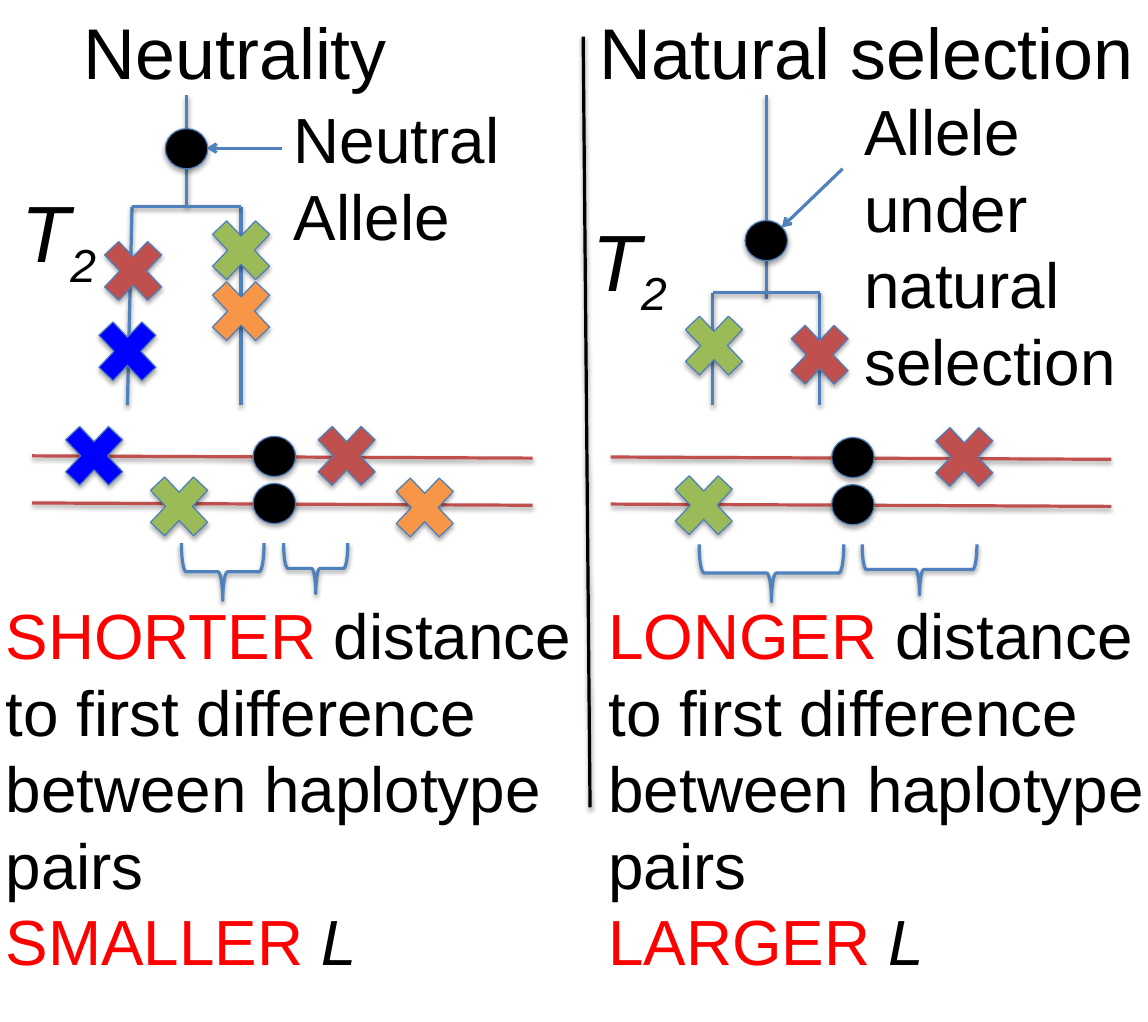
import dataclasses

import lxml.etree
import pptx
import pptx.dml.color
import pptx.enum.shapes
import pptx.enum.text
import pptx.oxml.ns
import pptx.util

qn = pptx.oxml.ns.qn
SHAPES = pptx.enum.shapes.MSO_SHAPE
COLUMNS, ROWS = 100, 89


@dataclasses.dataclass(frozen=True)
class Theme:
    font: str = "Arial"
    heading: int = 45
    symbol: int = 50
    body: int = 40
    text: str = "000000"
    accent: str = "FF0000"
    branch: str = "4F81BD"
    outline: str = "4B7EBC"
    red: str = "C0504D"
    green: str = "9BBB59"
    orange: str = "F79646"
    blue: str = "0000FF"
    stroke: float = 2
    thin: float = 0.75


THEME = Theme()
deck = pptx.Presentation()
deck.slide_width = pptx.util.Inches(10)
deck.slide_height = pptx.util.Inches(8.9)
slide = deck.slides.add_slide(deck.slide_layouts.get_by_name("Comparison"))


# Grid and formatting helpers
def col(count):
    return round(deck.slide_width * count / COLUMNS)


def row(count):
    return round(deck.slide_height * count / ROWS)


def rgb(value):
    return pptx.dml.color.RGBColor.from_string(value)


def apply(target, formats):
    for name, value in formats.items():
        setattr(target, name, value)


def set_shadow(part, opacity=0, distance=0):
    properties = part._element.spPr
    effects = properties.find(qn("a:effectLst"))
    if effects is None:
        effects = lxml.etree.SubElement(properties, qn("a:effectLst"))
    if opacity:
        shadow = lxml.etree.SubElement(
            effects, qn("a:outerShdw"), blurRad=str(pptx.util.Pt(3.1)),
            dist=str(pptx.util.Pt(distance)), dir="5400000", rotWithShape="0")
        black = lxml.etree.SubElement(shadow, qn("a:srgbClr"), val="000000")
        lxml.etree.SubElement(black, qn("a:alpha"), val=str(opacity * 1000))


def add_line(x1, y1, x2, y2, color=THEME.branch, arrow=False):
    line = slide.shapes.add_connector(
        pptx.enum.shapes.MSO_CONNECTOR.STRAIGHT, col(x1), row(y1), col(x2), row(y2))
    line.line.color.rgb = rgb(color)
    line.line.width = pptx.util.Pt(THEME.stroke)
    if arrow:
        lxml.etree.SubElement(line.line._get_or_add_ln(), qn("a:tailEnd"), type="arrow")
        set_shadow(line)
    else:
        set_shadow(line, 38, 1.6)


def add_mark(kind, x, y, width, height, color):
    """Place a filled mark around its centre."""
    mark = slide.shapes.add_shape(
        kind, col(x - width / 2), row(y - height / 2), col(width), row(height))
    mark.fill.solid()
    mark.fill.fore_color.rgb = rgb(color)
    mark.line.color.rgb = rgb(THEME.outline)
    mark.line.width = pptx.util.Pt(THEME.thin)
    mark.shadow.inherit = False
    set_shadow(mark, 35, 1.8)


def add_allele(x, y):
    add_mark(SHAPES.OVAL, x, y, 3.7, 3.5, THEME.text)


def add_mutation(x, y, color):
    add_mark(SHAPES.MATH_MULTIPLY, x, y, 7.2, 7.6, color)


def add_brace(start, end, top, depth):
    span = end - start
    brace = slide.shapes.add_shape(
        SHAPES.RIGHT_BRACE, col((start + end - depth) / 2),
        row(top + (depth - span) / 2), col(depth), row(span))
    brace.rotation = 90
    brace.fill.background()
    brace.line.color.rgb = rgb(THEME.branch)
    brace.line.width = pptx.util.Pt(THEME.stroke)
    brace.shadow.inherit = False
    set_shadow(brace, 38, 1.6)


def write(box, paragraphs, size, holder=None):
    """Write paragraphs of (text, color, italic, baseline) runs."""
    left, top, width, height = box
    area = dict(left=col(left), top=row(top), width=col(width), height=row(height))
    holder = holder or slide.shapes.add_textbox(**area)
    apply(holder, area)
    frame = holder.text_frame
    side, edge = pptx.util.Inches(0.08), pptx.util.Inches(0.04)
    apply(frame, dict(
        word_wrap=True, auto_size=pptx.enum.text.MSO_AUTO_SIZE.NONE,
        vertical_anchor=pptx.enum.text.MSO_ANCHOR.TOP,
        margin_left=side, margin_right=side, margin_top=edge, margin_bottom=edge))
    for number, runs in enumerate(paragraphs):
        paragraph = frame.add_paragraph() if number else frame.paragraphs[0]
        paragraph.space_before = pptx.util.Pt(0)
        indents = paragraph._p.get_or_add_pPr()
        indents.set("marL", "0")
        indents.set("indent", "0")
        lxml.etree.SubElement(indents, qn("a:buNone"))
        for text, color, italic, baseline in runs:
            run = paragraph.add_run()
            run.text = text
            apply(run.font, dict(name=THEME.font, size=pptx.util.Pt(size),
                                 bold=False, italic=italic))
            run.font.color.rgb = rgb(color)
            if baseline:
                run._r.get_or_add_rPr().set("baseline", str(baseline * 1000))


def plain(text, color=THEME.text, italic=False, baseline=0):
    return text, color, italic, baseline


# Regions of a panel
def genealogy(box, split, allele, overhang, lean, mutations):
    left, top, width, height = box
    right, bottom, trunk = left + width, top + height, left + width / 2
    add_line(trunk, top, trunk, top + split + overhang)
    add_line(left, top + split, left - lean, bottom)
    add_line(right, top + split, right, bottom)
    add_line(right, top + split, left, top + split)
    add_allele(trunk, top + allele)
    for x, y, color in mutations:
        add_mutation(left + x, top + y, color)


def haplotypes(box, mutations, brace_starts, brace_ends):
    left, top, width, gap = box
    for y in (top, top + gap):
        add_line(left, y, left + width, y + 0.2, THEME.red)
        add_allele(left + 21.1, y + 0.05)
    for x, y, color in mutations:
        add_mutation(left + x, top + y, color)
    for start, end, depth in zip(brace_starts, brace_ends, (5, 4.4)):
        add_brace(left + start, left + end, top + 7.6, depth)


def caption(box, holder, distance, size):
    write(box, [
        [plain(distance, THEME.accent),
         plain(" distance to first difference between haplotype pairs")],
        [plain(size + " ", THEME.accent), plain("L", italic=True)],
    ], THEME.body, holder)


def panel(content, heading_holder, caption_holder):
    write(content["heading_box"], [[plain(content["heading"])]],
          THEME.heading, heading_holder)
    genealogy(**content["genealogy"])
    write(content["time_box"],
          [[plain("T", italic=True), plain("2", italic=True, baseline=-25)]],
          THEME.symbol)
    write(content["label_box"], [[plain(line)] for line in content["label"]], THEME.body)
    add_line(*content["pointer"], arrow=True)
    haplotypes(**content["haplotypes"])
    caption(holder=caption_holder, **content["caption"])


neutrality = dict(
    heading="Neutrality", heading_box=(6.5, 0.3, 38.6, 8.4),
    genealogy=dict(
        box=(11.5, 8.3, 9.5, 27), split=9.7, allele=4.65, overhang=0, lean=0.4,
        mutations=[(0.1, 15.3, THEME.red), (9.5, 13.5, THEME.green),
                   (9.5, 18.8, THEME.orange), (-0.4, 22.3, THEME.blue)]),
    time_box=(1.1, 15.5, 10, 9.3),
    label=["Neutral", "Allele"], label_box=(24.8, 8.3, 33.8, 14.3),
    pointer=(24.6, 12.9, 18, 12.9),
    haplotypes=dict(
        box=(2.8, 39.7, 43.6, 4.1),
        mutations=[(5.4, 0, THEME.blue), (27.4, 0, THEME.red),
                   (12.8, 4.4, THEME.green), (34.2, 4.5, THEME.orange)],
        brace_starts=(13, 21.9), brace_ends=(20.2, 27.5)),
    caption=dict(box=(-0.3, 51.5, 52.8, 34.5), distance="SHORTER", size="SMALLER"))

selection = dict(
    heading="Natural selection", heading_box=(51.4, 0.3, 64.5, 8.4),
    genealogy=dict(
        box=(62.1, 8.3, 9.3, 27), split=17.2, allele=12.65, overhang=0.5, lean=0,
        mutations=[(9.3, 22.6, THEME.red), (0.1, 21.8, THEME.green)]),
    time_box=(50.8, 18, 10, 9.3),
    label=["Allele under natural selection"], label_box=(74.5, 7.6, 26.3, 27.8),
    pointer=(73.4, 14.7, 68.1, 19.8),
    haplotypes=dict(
        box=(53.2, 39.8, 43.6, 4.1),
        mutations=[(30.8, 0, THEME.red), (8.1, 4.2, THEME.green)],
        brace_starts=(7.7, 21.9), brace_ends=(20.3, 31.9)),
    caption=dict(box=(52.2, 51.5, 52.6, 34.5), distance="LONGER", size="LARGER"))

# Slide
holders = {holder.placeholder_format.idx: holder for holder in slide.placeholders}
unused_title = holders[0]._element
unused_title.getparent().remove(unused_title)
panel(neutrality, holders[1], holders[2])
add_line(50.8, 3.2, 51.4, 70.3, THEME.text)
panel(selection, holders[3], holders[4])

deck.save("out.pptx")
